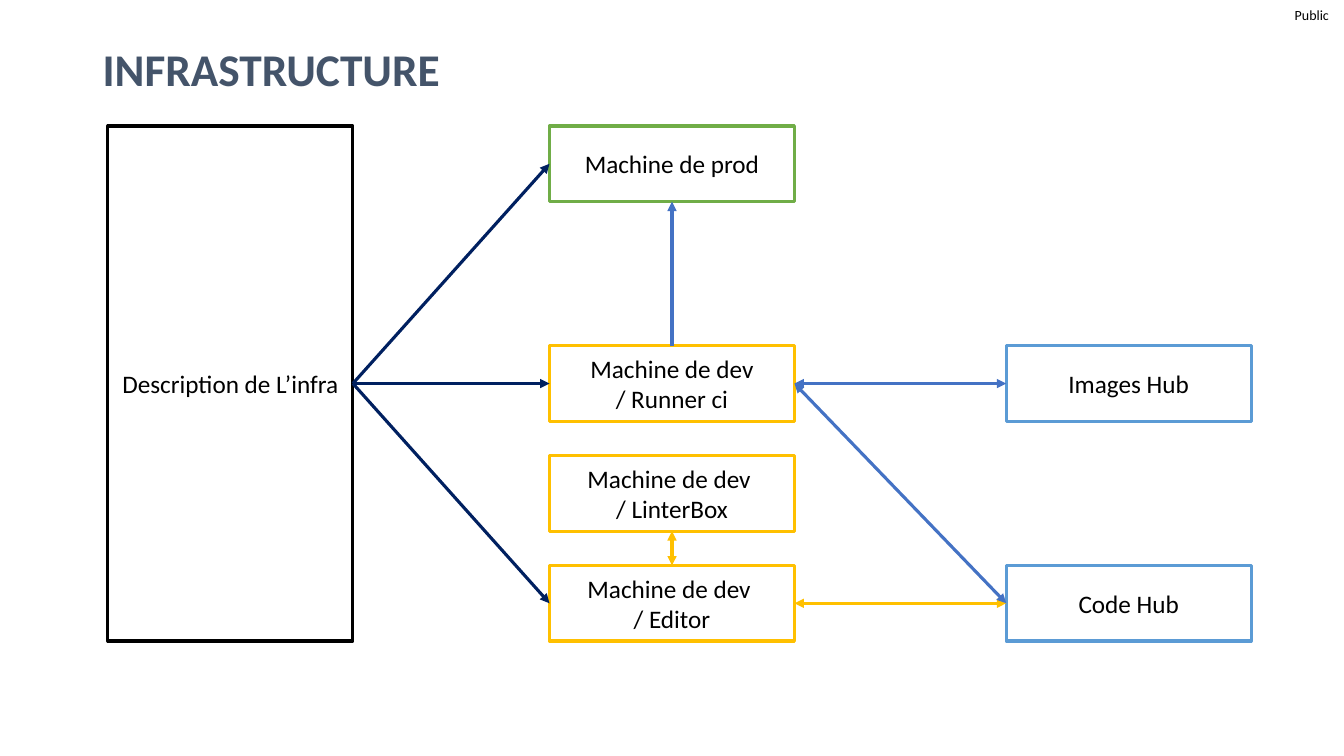
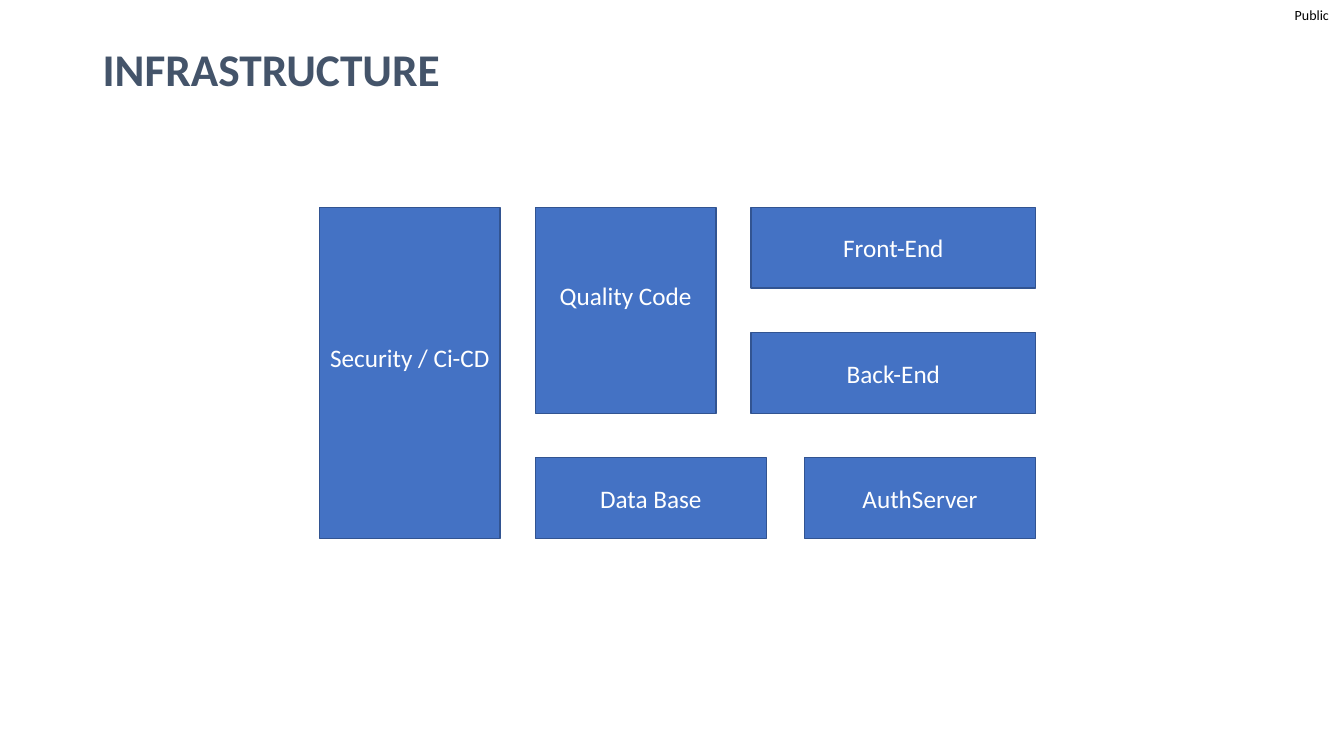
"""Build two infrastructure slides: a machine diagram and a component map."""
from lxml.etree import SubElement
from pptx import Presentation
from pptx.dml.color import RGBColor
from pptx.enum.shapes import MSO_CONNECTOR, MSO_SHAPE
from pptx.enum.text import MSO_ANCHOR, PP_ALIGN
from pptx.oxml.ns import qn
from pptx.util import Inches, Pt

COLOURS = {
    "title": "44546A",
    "black": "000000",
    "white": "FFFFFF",
    "amber": "FFC000",
    "green": "70AD47",
    "sky": "5B9BD5",
    "blue": "4472C4",
    "edge": "325491",
    "navy": "002060",
}
FONT = "Calibri"
TOP, LEFT, BOTTOM, RIGHT = range(4)


def add_text(page, text, at, size=18, colour="black", bold=False, align=PP_ALIGN.CENTER,
             fill=None, line=None, line_width=2.25, insets=(0.1, 0.05, 0.1, 0.05), spacing=1.0):
    place = [Inches(length) for length in at]
    if fill:
        box = page.shapes.add_shape(MSO_SHAPE.RECTANGLE, *place)
        box.shadow.inherit = False
        box.fill.solid()
        box.fill.fore_color.rgb = RGBColor.from_string(COLOURS[fill])
        box.line.color.rgb = RGBColor.from_string(COLOURS[line])
        box.line.width = Pt(line_width)
    else:
        box = page.shapes.add_textbox(*place)
    frame = box.text_frame
    frame.word_wrap = True
    frame.vertical_anchor = MSO_ANCHOR.MIDDLE
    (frame.margin_left, frame.margin_top,
     frame.margin_right, frame.margin_bottom) = [Inches(inset) for inset in insets]
    frame.text = text
    for para in frame.paragraphs:
        para.alignment = align
        para.line_spacing = spacing
        for span in para.runs:
            span.font.name = FONT
            span.font.size = Pt(size)
            span.font.bold = bold
            span.font.color.rgb = RGBColor.from_string(COLOURS[colour])
    return box


def add_arrow(page, start, start_side, end, end_side, colour, ends):
    arrow = page.shapes.add_connector(MSO_CONNECTOR.STRAIGHT, 0, 0, 0, 0)
    arrow.begin_connect(start, start_side)
    arrow.end_connect(end, end_side)
    arrow.line.color.rgb = RGBColor.from_string(COLOURS[colour])
    arrow.line.width = Pt(2.25)
    for end_name in ends:
        SubElement(arrow.line._get_or_add_ln(), qn(f"a:{end_name}"), type="triangle")
    SubElement(arrow._element.spPr, qn("a:effectLst"))


deck = Presentation()
deck.slide_width = Inches(13.33)
deck.slide_height = Inches(7.5)
pages = [deck.slides.add_slide(deck.slide_layouts[6]) for _ in range(2)]
for page in pages:
    add_text(page, "Public", (12.54, 0, 0.64, 0.29), size=10, align=PP_ALIGN.RIGHT,
             insets=(0, 0, 0, 0))
    add_text(page, "INFRASTRUCTURE", (0.92, 0.4, 11.5, 0.63), size=32.4, colour="title",
             bold=True, align=PP_ALIGN.LEFT, spacing=0.9)
machine_page, component_page = pages

COLUMNS = (1.07, 5.45, 9.98)
MACHINE_TOP, MACHINE_STEP = 1.25, 1.09
MACHINE_WIDTH, MACHINE_HEIGHT = 2.43, 0.75
machines = [
    ("description", "Description de L’infra", 0, 0, 5, "black"),
    ("prod", "Machine de prod", 1, 0, 1, "green"),
    ("ci", "Machine de dev\n/ Runner ci", 1, 2, 1, "amber"),
    ("quality", "Machine de dev \n/ LinterBox", 1, 3, 1, "amber"),
    ("editor", "Machine de dev \n/ Editor", 1, 4, 1, "amber"),
    ("images", "Images Hub", 2, 2, 1, "sky"),
    ("code", "Code Hub", 2, 4, 1, "sky"),
]
boxes = {}
for name, text, column, row, rows, line in machines:
    at = (COLUMNS[column], MACHINE_TOP + row * MACHINE_STEP,
          MACHINE_WIDTH, MACHINE_HEIGHT + (rows - 1) * MACHINE_STEP)
    boxes[name] = add_text(machine_page, text, at, fill="white", line=line)

ONE_WAY = ("tailEnd",)
BOTH_WAYS = ("headEnd", "tailEnd")
arrows = [
    ("editor", RIGHT, "code", LEFT, "amber", BOTH_WAYS),
    ("images", LEFT, "ci", RIGHT, "blue", BOTH_WAYS),
    ("code", LEFT, "ci", RIGHT, "blue", BOTH_WAYS),
    ("ci", TOP, "prod", BOTTOM, "blue", ONE_WAY),
    ("description", RIGHT, "prod", LEFT, "navy", ONE_WAY),
    ("description", RIGHT, "ci", LEFT, "navy", ONE_WAY),
    ("description", RIGHT, "editor", LEFT, "navy", ONE_WAY),
    ("editor", TOP, "quality", BOTTOM, "amber", BOTH_WAYS),
]
for start, start_side, end, end_side, colour, ends in arrows:
    add_arrow(machine_page, boxes[start], start_side, boxes[end], end_side, colour, ends)

COMPONENT_TOP, COMPONENT_STEP, COMPONENT_HEIGHT = 2.06, 1.24, 0.8
components = [
    ("Security / Ci-CD", 3.17, 1.79, 0, 3),
    ("Quality Code", 5.31, 1.79, 0, 2),
    ("Front-End", 7.45, 2.82, 0, 1),
    ("Back-End", 7.45, 2.82, 1, 1),
    ("Data Base", 5.31, 2.29, 2, 1),
    ("AuthServer", 7.98, 2.29, 2, 1),
]
for text, left, width, row, rows in components:
    at = (left, COMPONENT_TOP + row * COMPONENT_STEP,
          width, COMPONENT_HEIGHT + (rows - 1) * COMPONENT_STEP)
    bottom_inset = 0.35 if rows > 1 else 0.05
    add_text(component_page, text, at, colour="white", fill="blue", line="edge", line_width=1,
             insets=(0.05, 0.05, 0.05, bottom_inset))

deck.save("out.pptx")
